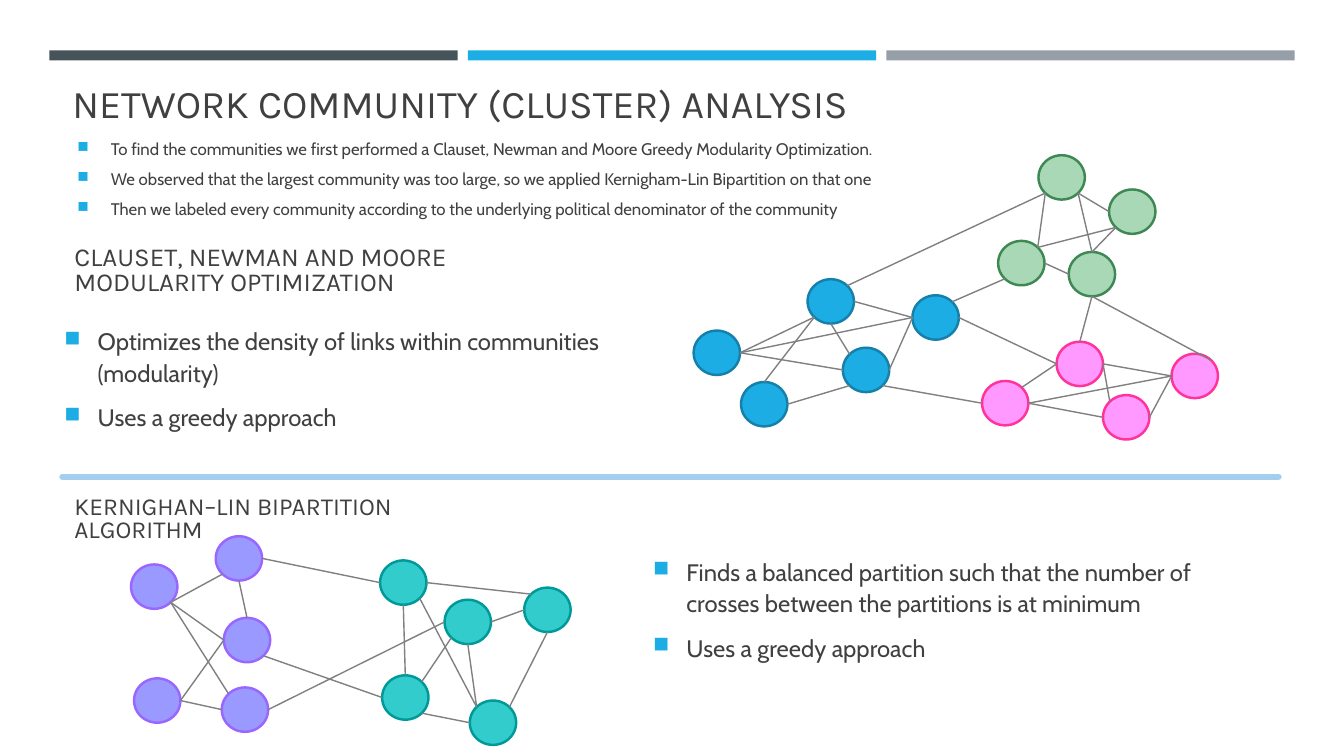
from math import cos, pi, sin

from lxml.etree import SubElement
from pptx import Presentation
from pptx.dml.color import RGBColor
from pptx.enum.shapes import MSO_CONNECTOR, MSO_SHAPE
from pptx.enum.text import MSO_ANCHOR
from pptx.oxml.ns import qn
from pptx.util import Inches, Pt

TEXT = RGBColor(0x40, 0x40, 0x40)
ACCENT = RGBColor(0x1C, 0xAD, 0xE4)
SLATE = RGBColor(0x46, 0x53, 0x59)
SILVER = RGBColor(0x96, 0x9F, 0xA7)
EDGE = RGBColor(0x80, 0x80, 0x80)
DIVIDER = RGBColor(0xA3, 0xCE, 0xED)
BLUE_LINE = RGBColor(0x15, 0x80, 0xA9)
GREEN = RGBColor(0xA9, 0xD8, 0xB7)
GREEN_LINE = RGBColor(0x3E, 0x88, 0x53)
PINK = RGBColor(0xFF, 0x99, 0xFF)
PINK_LINE = RGBColor(0xFF, 0x33, 0x99)
VIOLET = RGBColor(0x99, 0x99, 0xFF)
VIOLET_LINE = RGBColor(0x99, 0x66, 0xFF)
TEAL = RGBColor(0x33, 0xCC, 0xCC)
TEAL_LINE = RGBColor(0x00, 0x99, 0x99)

NODE_W, NODE_H = 0.46, 0.44
# Connection sites of an ellipse, counter-clockwise from the top
SITES = ["T", "TL", "L", "BL", "B", "BR", "R", "TR"]

# Community prefix: fill, outline, top-left corner of each node
COMMUNITIES = {
    "b": (ACCENT, BLUE_LINE,
          [(6.88, 3.28), (8.01, 2.77), (7.35, 3.79), (8.36, 3.45), (9.05, 2.93)]),
    "g": (GREEN, GREEN_LINE,
          [(10.3, 1.54), (10.6, 2.5), (9.9, 2.39), (11, 1.88)]),
    "p": (PINK, PINK_LINE,
          [(10.48, 3.39), (10.94, 3.92), (9.74, 3.78), (11.62, 3.51)]),
    "v": (VIOLET, VIOLET_LINE,
          [(1.3, 5.6), (2.14, 5.32), (2.22, 6.13), (1.33, 6.73), (2.2, 6.82)]),
    "t": (TEAL, TEAL_LINE,
          [(3.77, 5.56), (4.41, 5.95), (5.2, 5.83), (4.66, 6.95), (3.79, 6.7)]),
}

# Each edge joins node.site to node.site
EDGES = """
b1.R-b2.BL b1.R-b4.L b3.T-b2.BL b2.B-b4.TL b3.R-b4.BL b2.R-b5.L b4.R-b5.L
b1.R-b5.L b4.BR-p3.L b5.R-p1.L p2.TL-p1.R p3.TR-p1.L p2.L-p3.R p4.L-p3.R
p4.L-p2.R p4.L-p1.R b2.TR-g1.BL b5.TR-g3.BL p4.TR-g2.B p1.T-g2.B
g3.TR-g1.BL g2.T-g4.BL g2.T-g1.BR g3.TR-g4.BL g3.R-g2.L g1.BR-g4.L
v2.R-t1.L v3.BR-t5.L v5.R-t2.L v4.R-v5.L v4.R-v3.L v1.BR-v3.L v1.BR-v5.TL
v1.BR-v2.BL v3.T-v2.B t4.TL-t2.B t5.TR-t2.BL t4.TR-t3.B t2.R-t3.L
t4.L-t5.BR t4.TL-t1.BR t3.TL-t1.R t5.T-t1.B
""".split()


class SlideBuilder:
    heading_font = "Karla"
    body_font = "Cabin"

    def __init__(self, slide):
        self.s = slide
        self.nodes = {}

    def shape(self, kind, x, y, w, h, fill, outline=None):
        sp = self.s.shapes.add_shape(kind, Inches(x), Inches(y), Inches(w), Inches(h))
        sp.shadow.inherit = False
        sp.fill.solid()
        sp.fill.fore_color.rgb = fill
        if outline is None:
            sp.line.fill.background()
        else:
            sp.line.color.rgb = outline
            sp.line.width = Pt(1.75)
        return sp

    def line(self, start, end, color, width):
        c = self.s.shapes.add_connector(
            MSO_CONNECTOR.STRAIGHT, *(Inches(v) for v in (*start, *end)))
        c.line.color.rgb = color
        c.line.width = Pt(width)
        SubElement(c.element.spPr, qn("a:effectLst"))
        return c

    def divider(self, x1, x2, y):
        c = self.line((x1, y), (x2, y), DIVIDER, 4.5)
        c.element.spPr.find(qn("a:ln")).set("cap", "rnd")

    def node(self, name, x, y, fill, outline):
        sp = self.shape(MSO_SHAPE.OVAL, x, y, NODE_W, NODE_H, fill, outline)
        self.nodes[name] = (sp, x + NODE_W / 2, y + NODE_H / 2)

    def edge(self, spec_text):
        """Join two nodes at the ellipse sites named in 'node.site-node.site'."""
        points, glue = [], []
        for end in spec_text.split("-"):
            name, site = end.split(".")
            sp, cx, cy = self.nodes[name]
            idx = SITES.index(site)
            angle = pi / 2 + idx * pi / 4
            points.append((cx + NODE_W / 2 * cos(angle), cy - NODE_H / 2 * sin(angle)))
            glue.append((sp.shape_id, idx))
        c = self.line(*points, EDGE, 1)
        props = c.element.nvCxnSpPr.cNvCxnSpPr
        for tag, (shape_id, idx) in zip(("a:stCxn", "a:endCxn"), glue):
            SubElement(props, qn(tag), id=str(shape_id), idx=str(idx))

    def text_box(self, x, y, w, h, anchor):
        tf = self.s.shapes.add_textbox(
            Inches(x), Inches(y), Inches(w), Inches(h)).text_frame
        tf.word_wrap = True
        tf.vertical_anchor = anchor
        return tf

    def style(self, p, font, size):
        for r in p.runs:
            r.font.name = font
            r.font.size = Pt(size)
            r.font.color.rgb = TEXT

    def heading(self, x, y, w, text, size, spacing=0.8):
        tf = self.text_box(x, y, w, 0.62, MSO_ANCHOR.BOTTOM)
        tf.text = text
        p = tf.paragraphs[0]
        p.line_spacing = spacing
        self.style(p, self.heading_font, size)

    def bullets(self, x, y, w, h, items, size, spacing):
        tf = self.text_box(x, y, w, h, MSO_ANCHOR.MIDDLE)
        for i, item in enumerate(items):
            p = tf.add_paragraph() if i else tf.paragraphs[0]
            p.text = item
            pPr = p._p.get_or_add_pPr()
            pPr.set("marL", str(Inches(0.33)))
            pPr.set("indent", str(-Inches(0.33)))
            color = SubElement(pPr, qn("a:buClr"))
            SubElement(color, qn("a:srgbClr"), val=str(ACCENT))
            SubElement(pPr, qn("a:buSzPct"), val="92000")
            SubElement(pPr, qn("a:buChar"), char="■")
            p.line_spacing = spacing
            p.space_before = Pt(size * 0.2 if i else 0)
            p.space_after = Pt(6)
            self.style(p, self.body_font, size)


def main():
    prs = Presentation()
    prs.slide_width, prs.slide_height = Inches(13.33), Inches(7.5)
    b = SlideBuilder(prs.slides.add_slide(prs.slide_layouts[6]))

    for i, color in enumerate((SLATE, ACCENT, SILVER)):
        b.shape(MSO_SHAPE.RECTANGLE, 0.49 + i * 4.15, 0.5, 4.05, 0.1, color)

    b.heading(0.62, 0.68, 12.06, "NETWORK COMMUNITY (CLUSTER) ANALYSIS", 28, 1)
    b.heading(0.64, 2.37, 4.02, "CLAUSET, NEWMAN AND MOORE MODULARITY OPTIMIZATION", 18.5)
    b.heading(0.64, 4.82, 3.53, "KERNIGHAN–LIN BIPARTITION ALGORITHM", 17.5)

    b.bullets(0.67, 1.32, 8.62, 0.93, [
        "To find the communities we first performed a Clauset, Newman and Moore "
        "Greedy Modularity Optimization.",
        "We observed that the largest community was too large, so we applied "
        "Kernigham-Lin Bipartition on that one",
        "Then we labeled every community according to the underlying political "
        "denominator of the community",
    ], 12, 0.9)
    b.bullets(0.54, 3.02, 5.7, 1.46, [
        "Optimizes the density of links within communities (modularity)",
        "Uses a greedy approach",
    ], 17, 1.1)
    b.bullets(6.38, 4.98, 5.7, 2.11, [
        "Finds a balanced partition such that the number of crosses between "
        "the partitions is at minimum",
        "Uses a greedy approach",
    ], 17, 1.1)

    b.divider(0.62, 12.68, 4.73)
    for prefix, (fill, outline, corners) in COMMUNITIES.items():
        for n, (x, y) in enumerate(corners, 1):
            b.node(f"{prefix}{n}", x, y, fill, outline)
    for edge in EDGES:
        b.edge(edge)

    prs.save("out.pptx")


if __name__ == "__main__":
    main()
